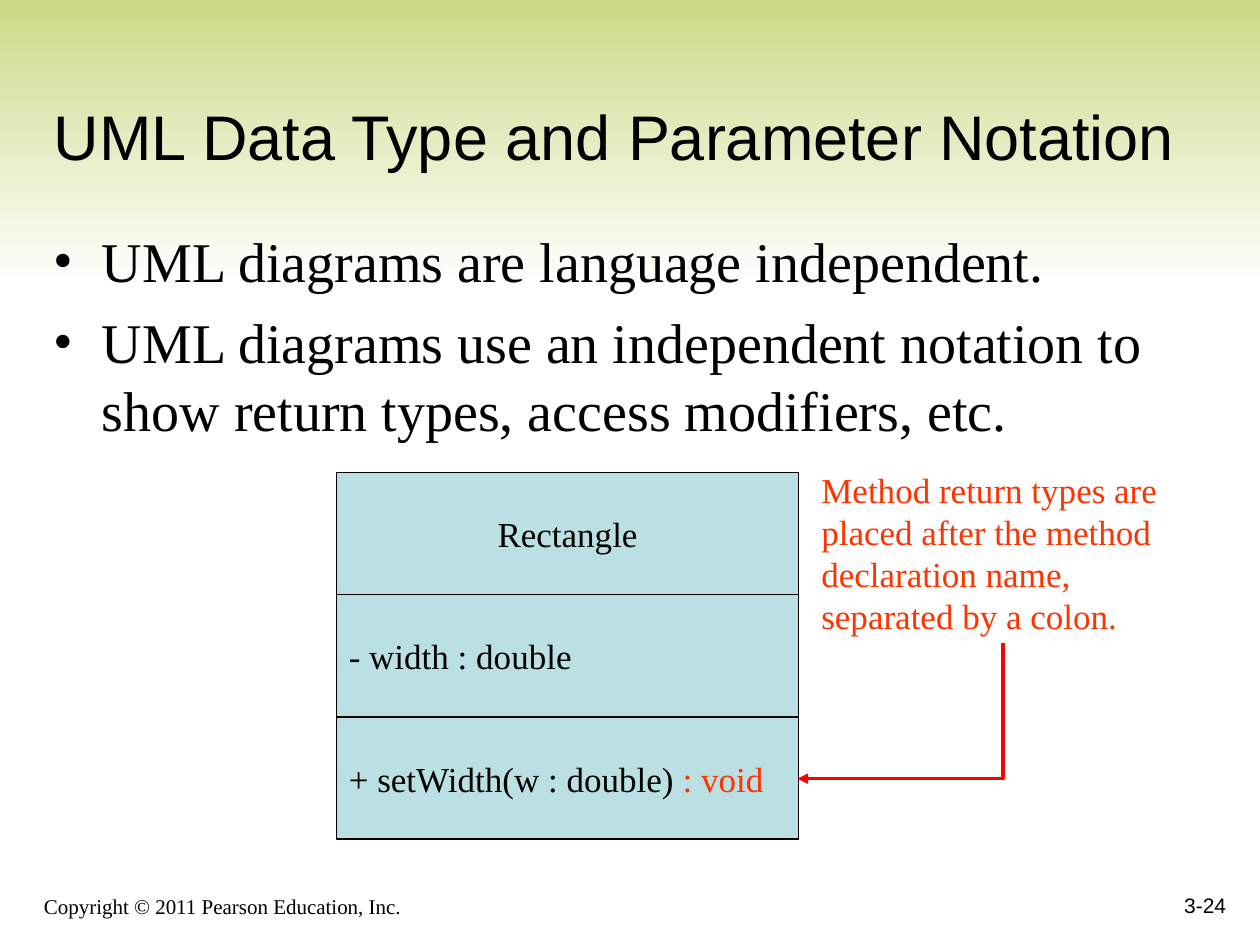
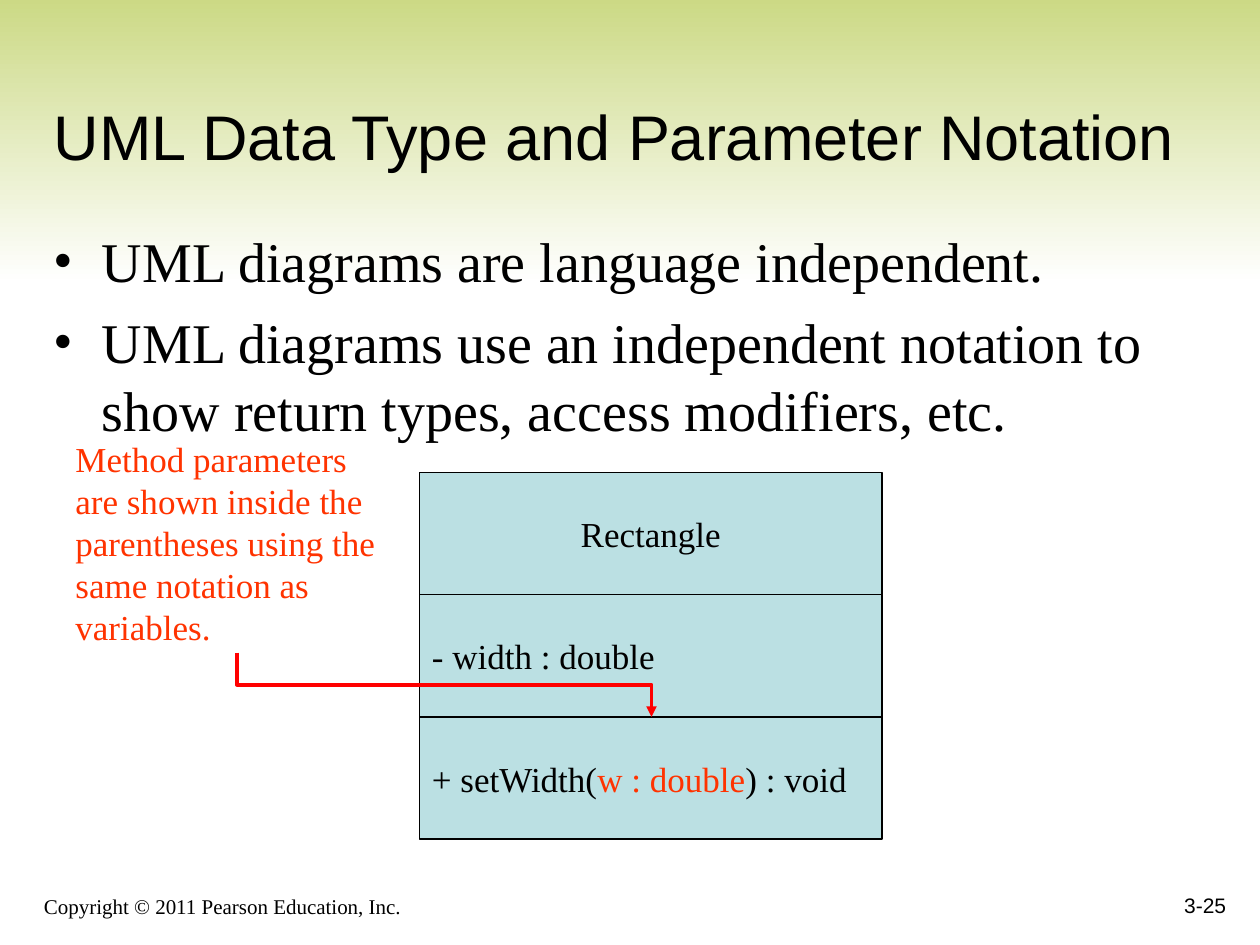
from lxml import etree
from pptx import Presentation
from pptx.dml.color import RGBColor
from pptx.enum.shapes import MSO_CONNECTOR, MSO_SHAPE
from pptx.enum.text import MSO_ANCHOR, PP_ALIGN
from pptx.oxml.ns import qn
from pptx.util import Inches, Pt

RECTANGLE, ELBOW = MSO_SHAPE.RECTANGLE, MSO_CONNECTOR.ELBOW
TOP, MIDDLE, BOTTOM = MSO_ANCHOR.TOP, MSO_ANCHOR.MIDDLE, MSO_ANCHOR.BOTTOM
LEFT, CENTER, RIGHT = PP_ALIGN.LEFT, PP_ALIGN.CENTER, PP_ALIGN.RIGHT

BLACK = RGBColor(0x00, 0x00, 0x00)
WHITE = RGBColor(0xFF, 0xFF, 0xFF)
BAND_GREEN = RGBColor(0xCA, 0xD8, 0x81)
CLASS_BLUE = RGBColor(0xBB, 0xE0, 0xE3)
HIGHLIGHT = RGBColor(0xFF, 0x33, 0x00)
ARROW_RED = RGBColor(0xFF, 0x00, 0x00)

SANS, SERIF = "Arial", "Times New Roman"
TITLE_FONT = {"name": SANS, "size": Pt(36)}
BODY_FONT = {"name": SERIF, "size": Pt(32)}
DIAGRAM_FONT = {"name": SERIF, "size": Pt(20)}
COPYRIGHT_FONT = {"name": SERIF, "size": Pt(12)}
NUMBER_FONT = {"name": SANS, "size": Pt(12)}

TITLE = "UML Data Type and Parameter Notation"
COPYRIGHT = "Copyright © 2011 Pearson Education, Inc."
BULLETS = [
    "UML diagrams are language independent.",
    "UML diagrams use an independent notation to show return types, "
    "access modifiers, etc.",
]
CLASS_NAME = "Rectangle"
FIELD = "- width : double"
CLASS_TOP, CLASS_WIDTH, ROW_HEIGHT = 3.75, 3.67, 0.97

SLIDES = [
    {
        "number": "3-24",
        "class_left": 2.67,
        "method": [("+ setWidth(w : double) ", BLACK), (": void", HIGHLIGHT)],
        "note": "Method return types are placed after the method declaration "
                "name, separated by a colon.",
        "note_box": (6.42, 3.67, 3.08, 1.44),
        "arrow": ("bentConnector2", (7.96, 5.1), (6.33, 6.18)),
    },
    {
        "number": "3-25",
        "class_left": 3.33,
        "method": [("+ setWidth(", BLACK), ("w : double", HIGHLIGHT),
                   (") : void", BLACK)],
        "note": "Method parameters are shown inside the parentheses using the "
                "same notation as variables.",
        "note_box": (0.5, 3.42, 2.75, 1.77),
        "arrow": ("bentConnector3", (1.88, 5.18), (5.17, 5.69)),
    },
]


def write(shape, paragraphs, font, anchor=TOP, align=LEFT):
    frame = shape.text_frame
    frame.word_wrap = True
    frame.vertical_anchor = anchor
    for index, runs in enumerate(paragraphs):
        paragraph = frame.paragraphs[0] if index == 0 else frame.add_paragraph()
        paragraph.alignment = align
        for words, color in runs:
            run = paragraph.add_run()
            run.text = words
            for attribute, value in font.items():
                setattr(run.font, attribute, value)
            run.font.color.rgb = color
    return frame


def add_text(slide, box, words, font, color=BLACK, **layout):
    shape = slide.shapes.add_textbox(*map(Inches, box))
    write(shape, [[(words, color)]], font, **layout)


def add_rectangle(slide, *box):
    shape = slide.shapes.add_shape(RECTANGLE, *map(Inches, box))
    shape.shadow.inherit = False
    return shape


def add_band(slide):
    band = add_rectangle(slide, 0, -0.08, 10, 2.33)
    band.line.fill.background()
    band.fill.gradient()
    band.fill.gradient_angle = 270
    for stop, color in zip(band.fill.gradient_stops, (BAND_GREEN, WHITE)):
        stop.color.rgb = color


def add_bullets(slide):
    box = slide.shapes.add_textbox(*map(Inches, (0.33, 1.75, 9.07, 1.94)))
    frame = write(box, [[(bullet, BLACK)] for bullet in BULLETS], BODY_FONT)
    frame.margin_right = 0
    for index, paragraph in enumerate(frame.paragraphs):
        if index:
            paragraph.space_before = Pt(8)
        properties = paragraph._p.get_or_add_pPr()
        properties.set("marL", str(Inches(0.38)))
        properties.set("indent", str(-Inches(0.38)))
        etree.SubElement(properties, qn("a:buFont"), typeface=SERIF)
        etree.SubElement(properties, qn("a:buChar"), char="•")


def add_class(slide, left, method):
    rows = [([(CLASS_NAME, BLACK)], CENTER), ([(FIELD, BLACK)], LEFT),
            (method, LEFT)]
    for index, (runs, align) in enumerate(rows):
        row = add_rectangle(slide, left, CLASS_TOP + index * ROW_HEIGHT,
                            CLASS_WIDTH, ROW_HEIGHT)
        row.fill.solid()
        row.fill.fore_color.rgb = CLASS_BLUE
        row.line.color.rgb = BLACK
        row.line.width = Pt(0.75)
        write(row, [runs], DIAGRAM_FONT, MIDDLE, align)


def add_arrow(slide, preset, start, end):
    (x1, y1), (x2, y2) = start, end
    center_x, center_y = (x1 + x2) / 2, (y1 + y2) / 2
    half_width, half_height = abs(y2 - y1) / 2, abs(x2 - x1) / 2
    rightward = x2 > x1
    side = 1 if rightward else -1
    arrow = slide.shapes.add_connector(ELBOW, *map(Inches, (
        center_x + side * half_width, center_y - half_height,
        center_x - side * half_width, center_y + half_height)))
    arrow.line.color.rgb = ARROW_RED
    arrow.line.width = Pt(2)
    properties = arrow._element.spPr
    properties.find(qn("a:prstGeom")).set("prst", preset)
    degrees = 270 if rightward else 90
    properties.find(qn("a:xfrm")).set("rot", str(degrees * 60000))
    etree.SubElement(arrow.line._get_or_add_ln(), qn("a:tailEnd"),
                     type="triangle")
    etree.SubElement(properties, qn("a:effectLst"))


def add_slide(deck, content):
    slide = deck.slides.add_slide(deck.slide_layouts[6])
    add_band(slide)
    add_text(slide, (0.25, 6.92, 6.08, 0.42), COPYRIGHT, COPYRIGHT_FONT,
             anchor=BOTTOM)
    add_text(slide, (7.75, 6.83, 2.08, 0.5), content["number"], NUMBER_FONT,
             anchor=BOTTOM, align=RIGHT)
    add_text(slide, (0.33, 0.33, 9.42, 1.09), TITLE, TITLE_FONT, anchor=BOTTOM)
    add_bullets(slide)
    add_class(slide, content["class_left"], content["method"])
    add_text(slide, content["note_box"], content["note"], DIAGRAM_FONT,
             HIGHLIGHT)
    add_arrow(slide, *content["arrow"])


def main():
    deck = Presentation()
    deck.slide_width, deck.slide_height = Inches(10), Inches(7.5)
    for content in SLIDES:
        add_slide(deck, content)
    deck.save("out.pptx")


if __name__ == "__main__":
    main()
